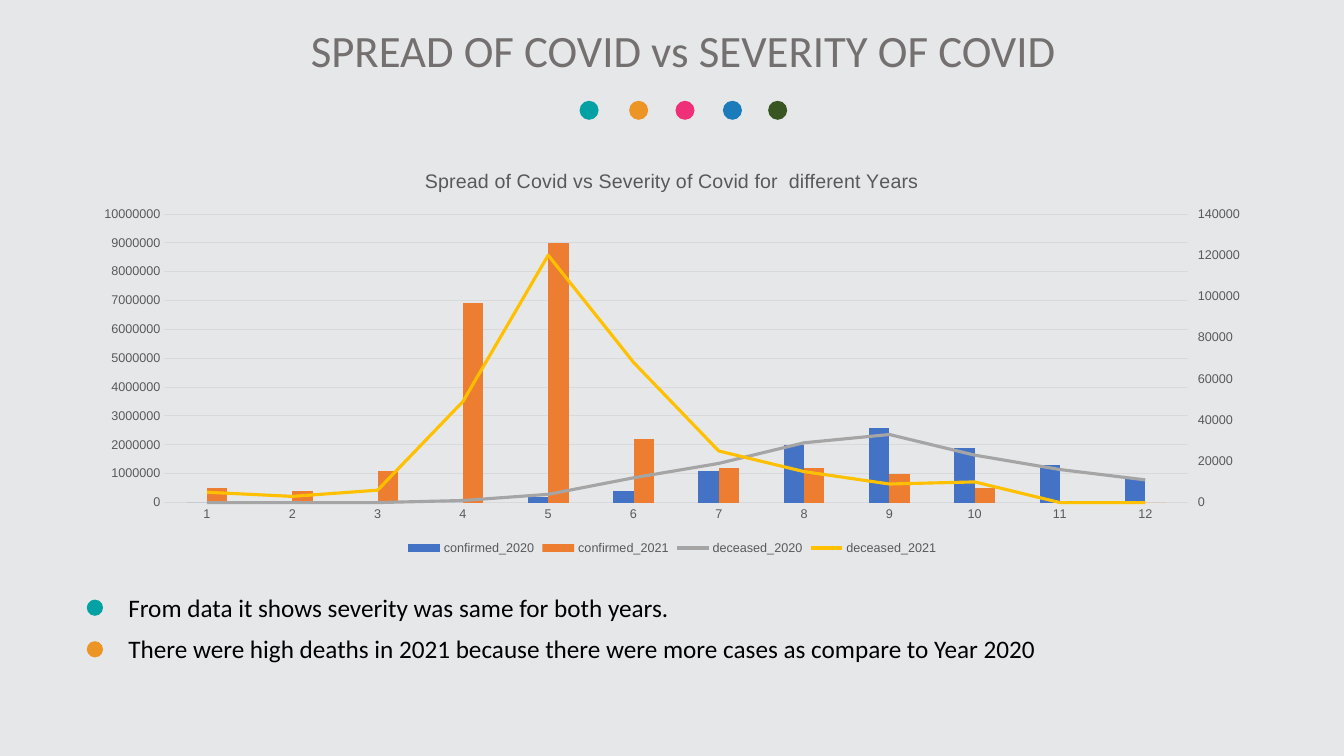
import copy
from lxml import etree
from pptx import Presentation, util as u
from pptx.chart import data as cd
from pptx.dml import color
from pptx.enum import chart as ec, shapes, text
from pptx.oxml import ns, parse_xml

Pt = u.Pt
TEAL, ORANGE, PINK, BLUE, GREEN = "02A1A4", "ED9524", "EF3078", "1C7CBB", "385622"
GREY, RULE = "595959", "D9D9D9"


def rgb(value):
    """Turn a hex string into a colour."""
    return color.RGBColor.from_string(value)


def put_text(p, words, size=18, ink="000000", font="Calibri", align=None):
    """Write one formatted run into a paragraph."""
    r = p.add_run()
    r.text = words
    r.font.size, r.font.name = Pt(size), font
    r.font.color.rgb = rgb(ink)
    r.font.bold = False
    p.alignment = align


prs = Presentation()
prs.slide_width, prs.slide_height = Pt(960), Pt(540)
s = prs.slides.add_slide(prs.slide_layouts[6])
s.background.fill.solid()
s.background.fill.fore_color.rgb = rgb("E6E7E9")

# Title
tf = s.shapes.add_textbox(Pt(73.5), Pt(13), Pt(829.5), Pt(46)).text_frame
tf.word_wrap = True
put_text(tf.paragraphs[0], "SPREAD OF COVID vs SEVERITY OF COVID",
         size=32, ink="757070", align=text.PP_ALIGN.CENTER)

# Takeaways
tf = s.shapes.add_textbox(Pt(57.6), Pt(422), Pt(811), Pt(110)).text_frame
tf.word_wrap = True
takeaways = ["From data it shows severity was same for both years.",
             "There were high deaths in 2021 because there were more cases as compare to Year 2020"]
for i, words in enumerate(takeaways):
    p = tf.add_paragraph() if i else tf.paragraphs[0]
    put_text(p, words)
    p.line_spacing = 0.9
    p.space_before = Pt(10 * i)
    pPr = p._p.get_or_add_pPr()
    pPr.set("marL", str(Pt(27)))
    pPr.set("indent", str(Pt(-27)))
    etree.SubElement(pPr, ns.qn("a:buChar")).set("char", "•")

# Dots: a row under the title, and one over each bullet
title_dots = [(x, 72, 13.6, c) for x, c in zip(
    (414, 449.4, 482.5, 516.4, 548.7), (TEAL, ORANGE, PINK, BLUE, GREEN))]
bullet_dots = [(62, 428.3 + 29.7 * i, 11.6, c) for i, c in enumerate((TEAL, ORANGE))]
for dots in (title_dots, bullet_dots):
    group = s.shapes.add_group_shape()
    for x, y, size, fill in dots:
        sp = group.shapes.add_shape(shapes.MSO_SHAPE.OVAL, Pt(x), Pt(y), Pt(size), Pt(size))
        sp.shadow.inherit = False
        sp.fill.solid()
        sp.fill.fore_color.rgb = rgb(fill)
        sp.line.fill.background()

# Chart: cases as columns, deaths as lines on the right axis
series = {
    "confirmed_2020": ("4472C4", [0, 0, 0, 0, 200000, 400000, 1100000, 2000000,
                                  2600000, 1900000, 1300000, 800000]),
    "confirmed_2021": ("ED7D31", [500000, 400000, 1100000, 6900000, 9000000, 2200000,
                                  1200000, 1200000, 1000000, 500000, 0, 0]),
    "deceased_2020": ("A5A5A5", [0, 0, 0, 1000, 4000, 12000, 19000, 29000,
                                 33000, 23000, 16000, 11000]),
    "deceased_2021": ("FFC000", [5000, 3000, 6000, 49000, 120000, 68000,
                                 25000, 15000, 9000, 10000, 0, 0]),
}
data = cd.CategoryChartData()
data.categories = [str(month) for month in range(1, 13)]
for name, (_, values) in series.items():
    data.add_series(name, values)
chart = s.shapes.add_chart(ec.XL_CHART_TYPE.COLUMN_CLUSTERED, Pt(57.6), Pt(108),
                           Pt(845), Pt(291.6), data).chart
chart.font.name, chart.font.size = "Arial", Pt(10)
chart.has_title = True
put_text(chart.chart_title.text_frame.paragraphs[0],
         "Spread of Covid vs Severity of Covid for  different Years",
         size=14, ink=GREY, font="Arial")
chart.has_legend = True
chart.legend.position = ec.XL_LEGEND_POSITION.BOTTOM
chart.legend.include_in_layout = False
cases, months = chart.value_axis, chart.category_axis
for part in (chart.legend.font, cases.tick_labels.font, months.tick_labels.font):
    part.name, part.size = "Arial", Pt(9)
    part.color.rgb = rgb(GREY)
for axis in (cases, months):
    axis.major_tick_mark = ec.XL_TICK_MARK.NONE
cases.minimum_scale, cases.maximum_scale, cases.major_unit = 0, 10000000, 1000000
cases.tick_labels.number_format = "0"
cases.tick_labels.number_format_is_linked = False
cases.format.line.fill.background()
for line in (cases.major_gridlines.format.line, months.format.line):
    line.color.rgb = rgb(RULE)
    line.width = Pt(0.75)
bars = chart.plots[0]
bars.gap_width, bars.overlap = 219, 0
bars.vary_by_categories = False

# Move the deaths into a line plot with its own pair of axes
bar_xml = bars._element
line_xml = parse_xml(
    f'<c:lineChart {ns.nsdecls("c")}><c:grouping val="standard"/><c:varyColors val="0"/>'
    '<c:marker val="1"/><c:axId val="5001"/><c:axId val="5002"/></c:lineChart>')
for ser in bar_xml.xpath("c:ser")[2:]:
    for flag in ser.xpath("c:invertIfNegative"):
        ser.remove(flag)
    line_xml.xpath("c:marker")[0].addprevious(ser)
bar_xml.addnext(line_xml)
right, hidden = copy.deepcopy(cases._element), copy.deepcopy(months._element)
cases._element.addnext(right)
right.addnext(hidden)
right.remove(right.xpath("c:majorGridlines")[0])
for axis, tag, value in ((hidden, "axId", "5001"), (hidden, "crossAx", "5002"),
                         (hidden, "delete", "1"), (right, "axId", "5002"),
                         (right, "crossAx", "5001"), (right, "axPos", "r"),
                         (right, "crosses", "max"), (right, "majorTickMark", "out"),
                         (right, "scaling/c:max", "140000"), (right, "majorUnit", "20000")):
    axis.xpath(f"c:{tag}")[0].set("val", value)

for plot in chart.plots:
    for ser in plot.series:
        ink = rgb(series[ser.name][0])
        if plot is not None and ser.name.startswith("confirmed"):
            ser.format.fill.solid()
            ser.format.fill.fore_color.rgb = ink
        else:
            ser.format.line.color.rgb = ink
            ser.format.line.width = Pt(2.25)
            ser.marker.style = ec.XL_MARKER_STYLE.NONE
            ser.smooth = False

prs.save("out.pptx")
